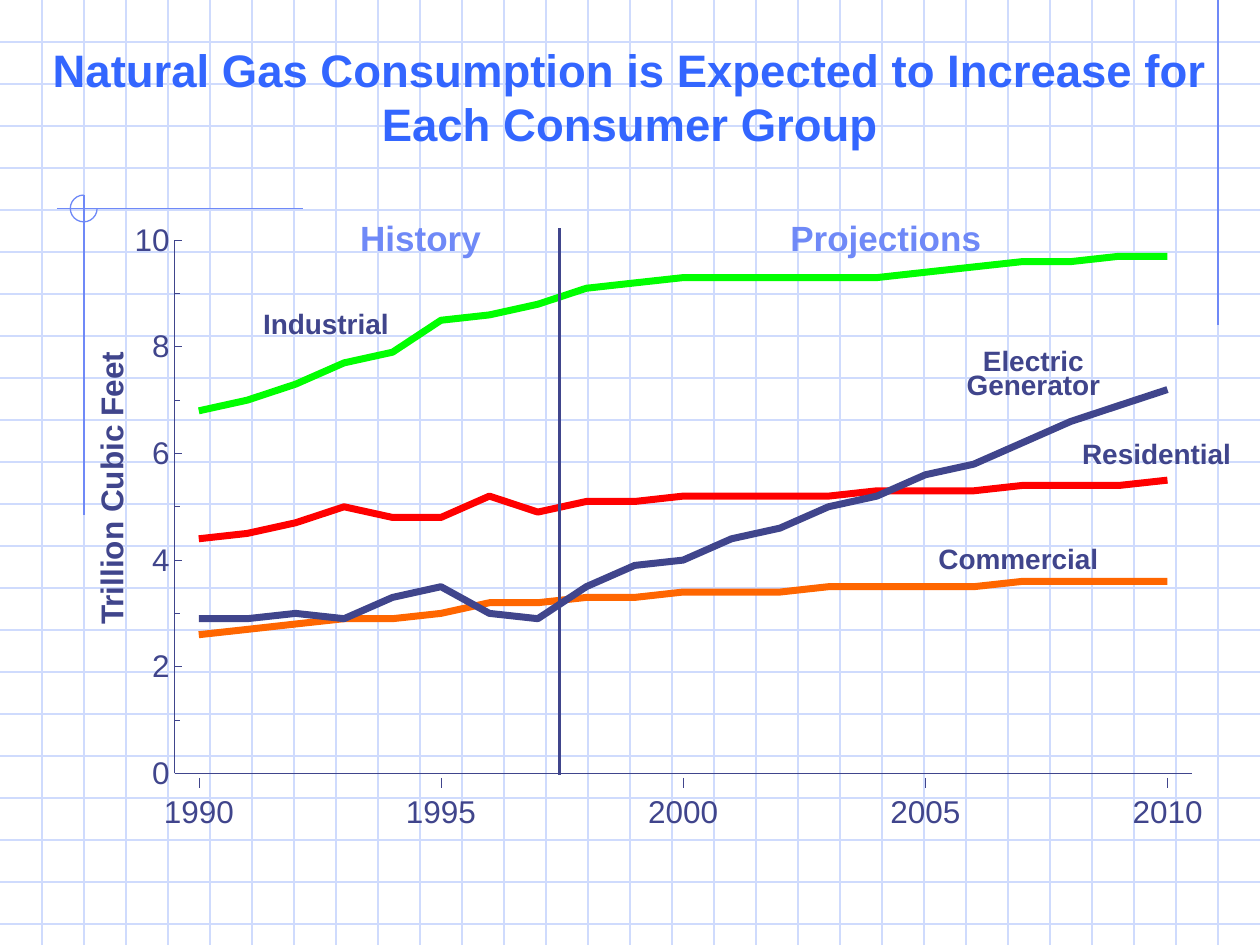
from lxml import etree
from pptx import Presentation
from pptx.chart.data import CategoryChartData
from pptx.dml.color import RGBColor
from pptx.enum.chart import XL_CHART_TYPE, XL_MARKER_STYLE, XL_TICK_LABEL_POSITION, XL_TICK_MARK
from pptx.enum.shapes import MSO_CONNECTOR, MSO_SHAPE
from pptx.enum.text import MSO_ANCHOR, PP_ALIGN
from pptx.oxml import parse_xml
from pptx.oxml.ns import nsdecls, qn
from pptx.util import Pt

STRAIGHT = MSO_CONNECTOR.STRAIGHT
LEFT, CENTER = PP_ALIGN.LEFT, PP_ALIGN.CENTER
INSIDE, NO_TICK = XL_TICK_MARK.INSIDE, XL_TICK_MARK.NONE

COLORS = {
    "grid": "CFDBFD", "accent": "6F89F7", "title": "3366FF", "ink": "40458C",
    "residential": "FF0000", "commercial": "FF6600", "industrial": "00FF00",
}
FONT = "Arial"
SLIDE_WIDTH, SLIDE_HEIGHT, GRID_STEP = 720, 540, 24
TITLE = "Natural Gas Consumption is Expected to Increase for Each Consumer Group"

YEARS = range(1990, 2011)
LABEL_INTERVAL = 5
YEAR_STEP = 27.68
FIRST_YEAR_X = 113.6
PLOT_LEFT, PLOT_TOP = FIRST_YEAR_X - YEAR_STEP / 2, 137.5
PLOT_WIDTH, PLOT_HEIGHT = YEAR_STEP * len(YEARS), 307
PLOT_BOTTOM = PLOT_TOP + PLOT_HEIGHT
CHART_LEFT, CHART_TOP, CHART_WIDTH, CHART_HEIGHT = 60, 120, 640, 332

# name, color, trillion cubic feet for each year
SERIES = [
    ("Residential", "residential",
     [4.4, 4.5, 4.7, 5.0, 4.8, 4.8, 5.2, 4.9, 5.1, 5.1, 5.2,
      5.2, 5.2, 5.2, 5.3, 5.3, 5.3, 5.4, 5.4, 5.4, 5.5]),
    ("Commercial", "commercial",
     [2.6, 2.7, 2.8, 2.9, 2.9, 3.0, 3.2, 3.2, 3.3, 3.3, 3.4,
      3.4, 3.4, 3.5, 3.5, 3.5, 3.5, 3.6, 3.6, 3.6, 3.6]),
    ("Industrial", "industrial",
     [6.8, 7.0, 7.3, 7.7, 7.9, 8.5, 8.6, 8.8, 9.1, 9.2, 9.3,
      9.3, 9.3, 9.3, 9.3, 9.4, 9.5, 9.6, 9.6, 9.7, 9.7]),
    ("Electric Generator", "ink",
     [2.9, 2.9, 3.0, 2.9, 3.3, 3.5, 3.0, 2.9, 3.5, 3.9, 4.0,
      4.4, 4.6, 5.0, 5.2, 5.6, 5.8, 6.2, 6.6, 6.9, 7.2]),
]

# lines, left, top, width, height, size, color, alignment
LABELS = [
    (["Projections"], 444.5, 120.2, 123.8, 31, 20, "accent", LEFT),
    (["History"], 198.7, 120.2, 83.5, 31, 20, "accent", LEFT),
    (["Commercial"], 529.2, 306, 105.8, 26.6, 16, "ink", LEFT),
    (["Residential"], 611.3, 246.2, 115.2, 26.6, 16, "ink", LEFT),
    (["Industrial"], 143.3, 171.4, 86.4, 26.6, 16, "ink", LEFT),
    (["Electric", "Generator"], 545.2, 198.2, 90.7, 33.8, 16, "ink", CENTER),
]


def rgb(color):
    return RGBColor.from_string(COLORS[color])


def style_font(font, size, color, bold=False):
    font.name, font.size, font.bold = FONT, Pt(size), bold
    font.color.rgb = rgb(color)


def style_line(line, color, width):
    line.color.rgb = rgb(color)
    line.width = Pt(width)


def add_line(slide, x1, y1, x2, y2, color, width=0.75):
    line = slide.shapes.add_connector(STRAIGHT, Pt(x1), Pt(y1), Pt(x2), Pt(y2))
    style_line(line.line, color, width)
    etree.SubElement(line._element.spPr, qn("a:effectLst"))


def add_label(slide, lines, left, top, width, height, size, color,
              alignment=LEFT, bold=True, inset=True):
    box = slide.shapes.add_textbox(Pt(left), Pt(top), Pt(width), Pt(height))
    frame = box.text_frame
    frame.word_wrap = False
    if not inset:
        frame.margin_left = frame.margin_right = frame.margin_top = frame.margin_bottom = 0
    frame.text = "\n".join(lines)
    for paragraph in frame.paragraphs:
        paragraph.alignment = alignment
        if len(lines) > 1:
            paragraph.line_spacing = 0.7
        style_font(paragraph.font, size, color, bold)
    return box


def add_background(slide):
    for y in range(GRID_STEP, SLIDE_HEIGHT, GRID_STEP):
        add_line(slide, 0, y, SLIDE_WIDTH, y, "grid")
    for x in range(GRID_STEP, SLIDE_WIDTH, GRID_STEP):
        add_line(slide, x, 0, x, SLIDE_HEIGHT, "grid")
    add_line(slide, 696, 0, 696, 186, "accent")
    add_line(slide, 32.5, 119.2, 173, 119.2, "accent")
    add_line(slide, 48, 111.6, 48, 294.5, "accent")
    ring = slide.shapes.add_shape(MSO_SHAPE.ARC, Pt(40.2), Pt(111.5), Pt(15.3), Pt(15.3))
    # Arc angles are in 1/60000 degree, and adjustments in units of 100000
    ring.adjustments[0], ring.adjustments[1] = 0, 270 * 0.6
    ring.shadow.inherit = False
    ring.fill.background()
    style_line(ring.line, "accent", 0.75)


def set_title(slide):
    """Fill the title placeholder and bring it in front of the grid."""
    title = slide.shapes.title
    title.left, title.top, title.width, title.height = Pt(0), Pt(20.2), Pt(SLIDE_WIDTH), Pt(69.8)
    title.text_frame.text = TITLE
    title.text_frame.vertical_anchor = MSO_ANCHOR.MIDDLE
    paragraph = title.text_frame.paragraphs[0]
    paragraph.alignment = CENTER
    style_font(paragraph.font, 26, "title", True)
    slide.shapes._spTree.append(title._element)


def place_plot_area(chart):
    """Fix the inner plot area so that the years line up with their labels."""
    plot_area = chart._chartSpace.chart.plotArea
    for layout in plot_area.findall(qn("c:layout")):
        plot_area.remove(layout)
    parts = {
        "x": (PLOT_LEFT - CHART_LEFT) / CHART_WIDTH,
        "y": (PLOT_TOP - CHART_TOP) / CHART_HEIGHT,
        "w": PLOT_WIDTH / CHART_WIDTH,
        "h": PLOT_HEIGHT / CHART_HEIGHT,
    }
    modes = '<c:xMode val="edge"/><c:yMode val="edge"/>'
    sizes = "".join(f'<c:{name} val="{value:.5f}"/>' for name, value in parts.items())
    plot_area.insert(0, parse_xml(
        f'<c:layout {nsdecls("c")}><c:manualLayout><c:layoutTarget val="inner"/>'
        f'{modes}{sizes}</c:manualLayout></c:layout>'))


def add_consumption_chart(slide):
    data = CategoryChartData()
    data.categories = [str(year) for year in YEARS]
    for name, _, values in SERIES:
        data.add_series(name, values)
    chart = slide.shapes.add_chart(
        XL_CHART_TYPE.LINE, Pt(CHART_LEFT), Pt(CHART_TOP),
        Pt(CHART_WIDTH), Pt(CHART_HEIGHT), data).chart
    chart.has_legend = chart.has_title = False
    style_font(chart.font, 18, "ink")
    chart.plots[0].vary_by_categories = False
    for series, (_, color, _) in zip(chart.plots[0].series, SERIES):
        series.smooth = False
        series.marker.style = XL_MARKER_STYLE.NONE
        style_line(series.format.line, color, 4)

    values = chart.value_axis
    values.minimum_scale, values.maximum_scale = 0, 10
    values.major_unit, values.minor_unit = 2, 1
    values.has_major_gridlines = False
    values.major_tick_mark = values.minor_tick_mark = INSIDE
    values.tick_labels.number_format = "0"
    values.tick_labels.number_format_is_linked = False
    years = chart.category_axis
    years.major_tick_mark = years.minor_tick_mark = NO_TICK
    years.tick_label_position = XL_TICK_LABEL_POSITION.NONE
    for axis in (values, years):
        style_line(axis.format.line, "ink", 0.5)
    place_plot_area(chart)


def add_year_labels(slide):
    for year in YEARS[::LABEL_INTERVAL]:
        x = FIRST_YEAR_X + YEAR_STEP * (year - YEARS[0])
        add_line(slide, x, PLOT_BOTTOM, x, PLOT_BOTTOM + 6, "ink", 0.14)
        add_label(slide, [str(year)], x - 20.2, 452.6, 40.4, 21.6, 18, "ink",
                  CENTER, bold=False, inset=False)


def main():
    presentation = Presentation()
    presentation.slide_width, presentation.slide_height = Pt(SLIDE_WIDTH), Pt(SLIDE_HEIGHT)
    slide = presentation.slides.add_slide(presentation.slide_layouts[5])
    add_background(slide)
    set_title(slide)
    add_consumption_chart(slide)
    add_year_labels(slide)
    add_line(slide, 319.7, 443, 319.7, 130.3, "ink", 1.75)
    for label in LABELS:
        add_label(slide, *label)
    axis_title = add_label(slide, ["Trillion Cubic Feet"], -22.3, 264, 171.4, 28.8, 18, "ink")
    axis_title.rotation = 270
    presentation.save("out.pptx")


if __name__ == "__main__":
    main()
